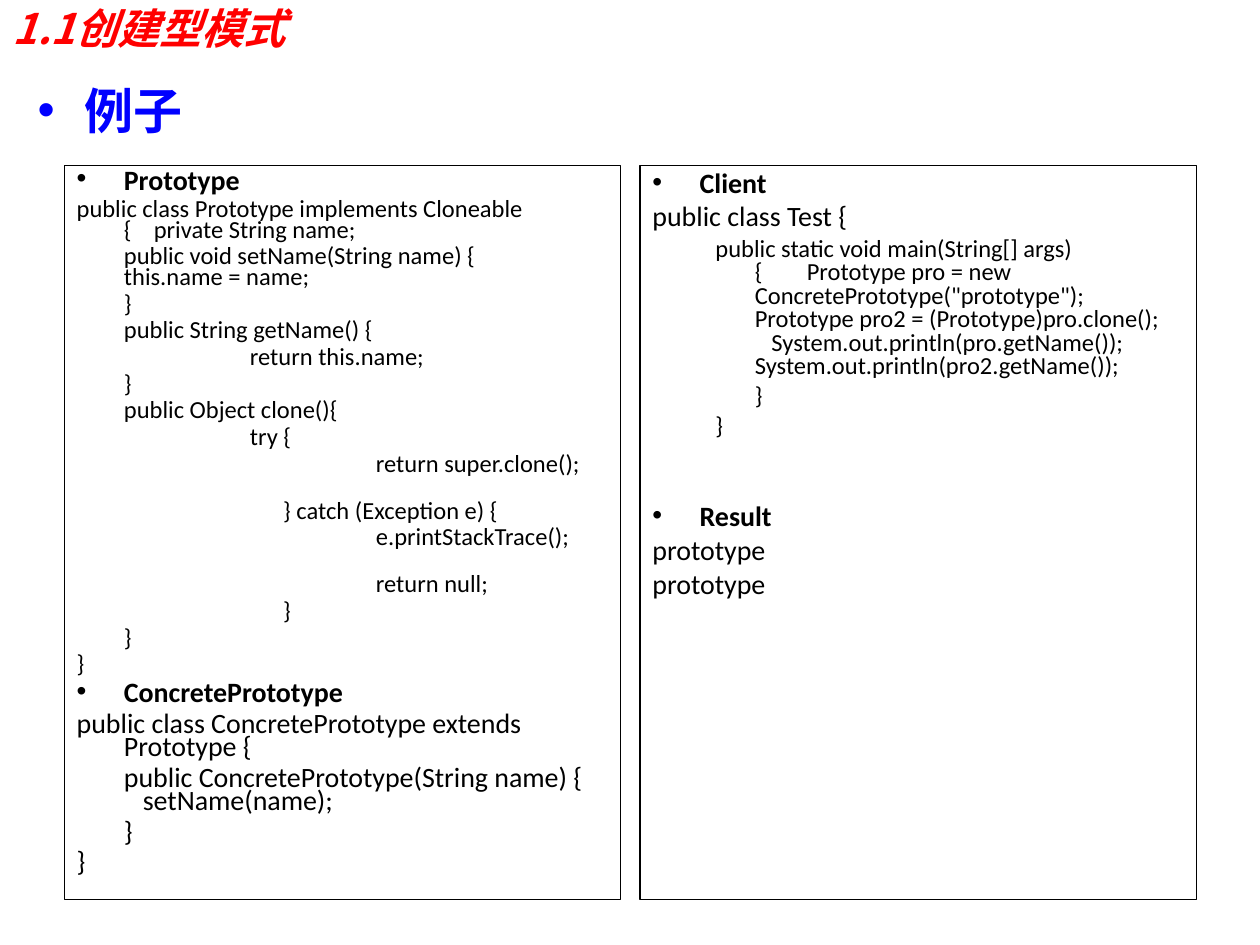
from dataclasses import dataclass

from lxml.etree import SubElement
from pptx import Presentation
from pptx.dml.color import RGBColor
from pptx.enum.shapes import MSO_SHAPE
from pptx.enum.text import MSO_ANCHOR, PP_ALIGN
from pptx.oxml.ns import qn
from pptx.util import Pt


@dataclass(frozen=True)
class Theme:
    red: str = "FF0000"
    blue: str = "0000FF"
    black: str = "000000"
    latin: str = "Calibri"
    asian: str = "Noto Sans CJK SC"
    title: float = 24
    topic: float = 28
    large: float = 16
    small: float = 14
    tab: float = 72
    hang: tuple = (27, -27)
    nested: tuple = (58.5, -22.5)


THEME = Theme()

HEADING = dict(size=THEME.large, before=4, bold=True, bullet=True)
LARGE = dict(size=THEME.large, before=4)
SMALL = dict(size=THEME.small, before=3.5)
SPACED = dict(size=THEME.small, before=15)
NESTED = dict(size=THEME.small, before=3.5, indent=THEME.nested, level=1)

PROTOTYPE_CODE = [
    ("Prototype", HEADING),
    ("public class Prototype implements Cloneable {    private String name;", SMALL),
    ("\tpublic void setName(String name) {        \tthis.name = name;", SMALL),
    ("\t}", SMALL),
    ("\tpublic String getName() {", SMALL),
    ("\t\treturn this.name;", SMALL),
    ("\t}", SMALL),
    ("\tpublic Object clone(){", SMALL),
    ("\t\ttry {", SMALL),
    ("\t\t\treturn super.clone();", SMALL),
    ("\t\t      } catch (Exception e) {", SPACED),
    ("         \t\te.printStackTrace();", SMALL),
    ("\t\t\treturn null;", SPACED),
    ("\t\t      }", SMALL),
    ("\t}", SMALL),
    ("}", SMALL),
    ("ConcretePrototype", HEADING),
    ("public class ConcretePrototype extends Prototype {", LARGE),
    ("\tpublic ConcretePrototype(String name) {        setName(name);", LARGE),
    ("\t}", LARGE),
    ("}", LARGE),
]

MAIN_METHOD = (
    "public static void main(String[] args) {"
    '        Prototype pro = new ConcretePrototype("prototype");'
    "        Prototype pro2 = (Prototype)pro.clone();"
    "        System.out.println(pro.getName());"
    "        System.out.println(pro2.getName());"
)

CLIENT_CODE = [
    ("Client", HEADING),
    ("public class Test {", LARGE),
    (MAIN_METHOD, NESTED),
    ("\t}", NESTED),
    ("}", NESTED),
    ("Result", HEADING | dict(before=38)),
    ("prototype", LARGE),
    ("prototype", LARGE),
]


def add_text(frame, text, *, size, color=THEME.black, font=THEME.latin, bold=False,
             italic=False, bullet=False, indent=(0, 0), level=0, spacing=1.0, before=0):
    first = not frame.paragraphs[0].runs
    para = frame.paragraphs[0] if first else frame.add_paragraph()
    para.level = level
    para.alignment = PP_ALIGN.LEFT
    properties = para._p.get_or_add_pPr()
    margin, hanging = indent
    properties.set("marL", str(Pt(margin)))
    properties.set("indent", str(Pt(hanging)))
    properties.set("defTabSz", str(Pt(THEME.tab)))
    if bullet:
        SubElement(SubElement(properties, qn("a:buClr")), qn("a:srgbClr"), val=color)
        SubElement(properties, qn("a:buFont"), typeface="Arial")
        SubElement(properties, qn("a:buChar"), char="•")
    else:
        SubElement(properties, qn("a:buNone"))
    para.line_spacing = spacing
    para.space_before = Pt(0 if first else before)
    span = para.add_run()
    span.text = text
    span.font.name = font
    span.font.size = Pt(size)
    span.font.bold = bold
    span.font.italic = italic
    span.font.color.rgb = RGBColor.from_string(color)
    SubElement(span._r.get_or_add_rPr(), qn("a:ea"), typeface=THEME.asian)


def place_label(page, left, top, width, height, text, anchor=MSO_ANCHOR.TOP, **style):
    box = page.shapes.add_textbox(Pt(left), Pt(top), Pt(width), Pt(height))
    frame = box.text_frame
    frame.word_wrap = True
    frame.vertical_anchor = anchor
    add_text(frame, text, **style)


def place_code_panel(page, left, top, width, height, lines, spacing):
    panel = page.shapes.add_shape(
        MSO_SHAPE.RECTANGLE, Pt(left), Pt(top), Pt(width), Pt(height))
    panel.shadow.inherit = False
    panel.fill.background()
    panel.line.color.rgb = RGBColor.from_string(THEME.black)
    panel.line.width = Pt(0.75)
    frame = panel.text_frame
    frame.word_wrap = True
    frame.vertical_anchor = MSO_ANCHOR.TOP
    for text, style in lines:
        add_text(frame, text, **(dict(indent=THEME.hang, spacing=spacing) | style))


def main():
    deck = Presentation()
    deck.slide_width, deck.slide_height = Pt(720), Pt(540)
    page = deck.slides.add_slide(deck.slide_layouts[6])
    place_label(page, 0, 0, 648, 32, "1.1创建型模式", anchor=MSO_ANCHOR.MIDDLE,
                size=THEME.title, color=THEME.red, font=THEME.asian,
                bold=True, italic=True)
    place_label(page, 14.4, 49, 255, 75, "例子", size=THEME.topic, color=THEME.blue,
                bold=True, bullet=True, indent=THEME.hang, spacing=0.8)
    left, top, width, height, gap = 36.75, 94.5, 318, 419.5, 11
    panels = [(PROTOTYPE_CODE, 0.7), (CLIENT_CODE, 0.8)]
    for column, (lines, spacing) in enumerate(panels):
        place_code_panel(page, left + column * (width + gap), top, width, height,
                         lines, spacing)
    deck.save("out.pptx")


if __name__ == "__main__":
    main()
